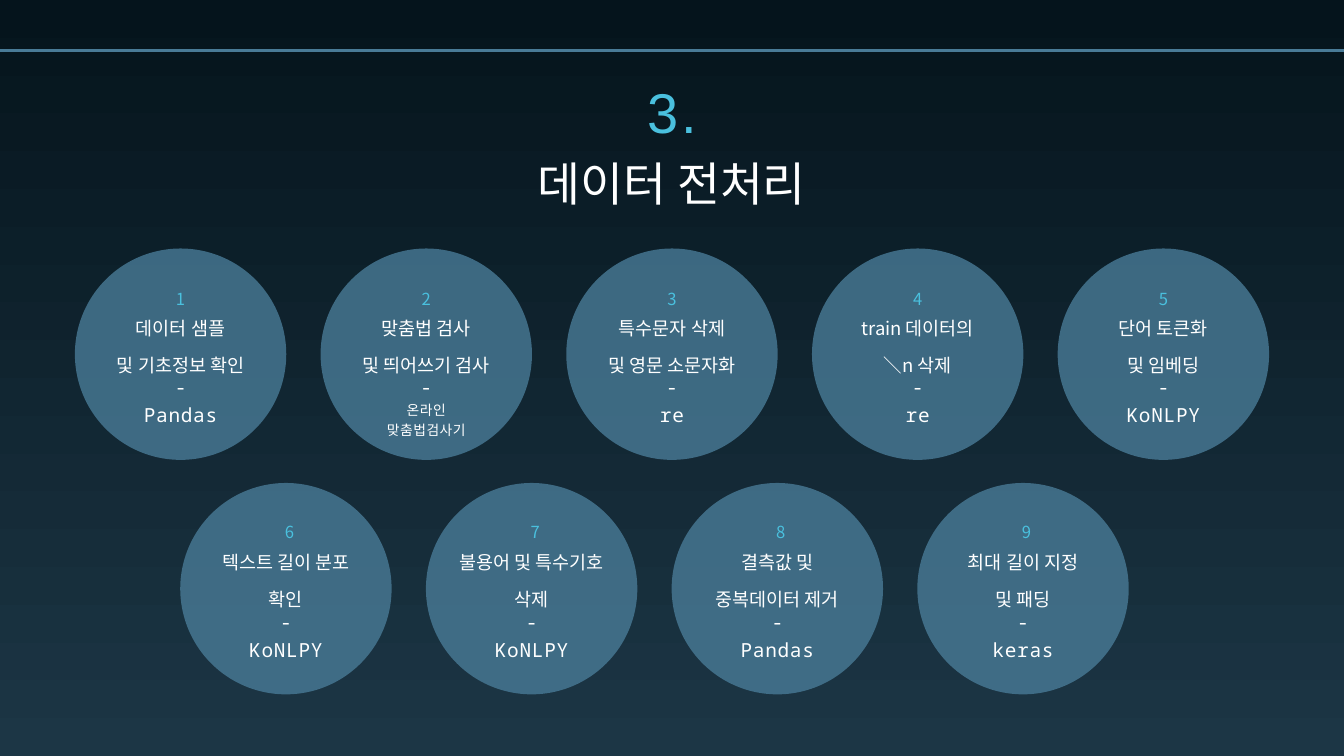
import pptx
import pptx.dml.color
import pptx.enum.shapes
import pptx.enum.text
import pptx.oxml.ns
import pptx.util
from lxml import etree

EMU_PER_PX = 9525
COLORS = {
    "top": "05141C",
    "bottom": "1C3645",
    "steel": "497B97",
    "accent": "4AC0DE",
    "white": "FFFFFF",
}
SANS = "Noto Sans CJK KR"
MONO = "Noto Sans Mono"
DIAMETER = 302
PITCH = 351
STEPS = [
    (["데이터 샘플", "및 기초정보 확인"], ["Pandas"]),
    (["맞춤법 검사", "및 띄어쓰기 검사"], ["온라인", "맞춤법검사기"]),
    (["특수문자 삭제", "및 영문 소문자화"], ["re"]),
    (["train 데이터의", "＼n 삭제"], ["re"]),
    (["단어 토큰화", "및 임베딩"], ["KoNLPY"]),
    (["텍스트 길이 분포", "확인"], ["KoNLPY"]),
    (["불용어 및 특수기호 삭제"], ["KoNLPY"]),
    (["결측값 및", "중복데이터 제거"], ["Pandas"]),
    (["최대 길이 지정", "및 패딩"], ["keras"]),
]
ROWS = [
    {"steps": STEPS[:5], "center": 960, "top": 355, "number_shift": 0, "number_top": 38, "task_height": 101},
    {"steps": STEPS[5:], "center": 935, "top": 690, "number_shift": 5, "number_top": 36, "task_height": 153},
]


def px(value):
    return pptx.util.Emu(round(value * EMU_PER_PX))


def rgb(name):
    return pptx.dml.color.RGBColor.from_string(COLORS[name])


def add_element(parent, tag, **attributes):
    return etree.SubElement(parent, pptx.oxml.ns.qn(tag), **attributes)


def set_background(slide):
    fill = slide.background.fill
    fill.gradient()
    fill.gradient_angle = 270
    for stop, name in zip(fill.gradient_stops, ("top", "bottom")):
        stop.color.rgb = rgb(name)


def add_rule(slide, y, length):
    connector = slide.shapes.add_connector(
        pptx.enum.shapes.MSO_CONNECTOR.STRAIGHT, 0, px(y), px(length), px(y))
    connector.line.color.rgb = rgb("steel")
    connector.line.width = pptx.util.Pt(3)
    add_element(connector._element.spPr, "a:effectLst")


def add_circle(slide, center, top):
    circle = slide.shapes.add_shape(
        pptx.enum.shapes.MSO_SHAPE.OVAL,
        px(center - DIAMETER / 2), px(top), px(DIAMETER), px(DIAMETER))
    circle.shadow.inherit = False
    circle.fill.solid()
    circle.fill.fore_color.rgb = rgb("steel")
    circle.line.fill.background()
    color = circle._element.spPr.find(".//" + pptx.oxml.ns.qn("a:srgbClr"))
    add_element(color, "a:alpha", val="80000")


def add_line_of_text(paragraph, text, size, spacing, font, color, tracking=0):
    paragraph.alignment = pptx.enum.text.PP_ALIGN.CENTER
    paragraph.line_spacing = pptx.util.Pt(spacing)
    run = paragraph.add_run()
    run.text = text
    run.font.size = pptx.util.Pt(size)
    run.font.name = font
    run.font.color.rgb = rgb(color)
    properties = run.font._element
    latin = properties.find(pptx.oxml.ns.qn("a:latin"))
    east_asian = add_element(properties, "a:ea", typeface=font)
    latin.addnext(east_asian)
    if tracking:
        properties.set("spc", str(round(tracking * 100)))


def add_text(slide, center, top, width, height, lines):
    box = slide.shapes.add_textbox(px(center - width / 2), px(top), px(width), px(height))
    frame = box.text_frame
    frame.margin_left = frame.margin_right = frame.margin_top = frame.margin_bottom = 0
    frame.word_wrap = True
    frame.auto_size = pptx.enum.text.MSO_AUTO_SIZE.SHAPE_TO_FIT_TEXT
    for index, line in enumerate(lines):
        paragraph = frame.add_paragraph() if index else frame.paragraphs[0]
        add_line_of_text(paragraph, **line)


def styled(texts, **style):
    return [dict(text=text, **style) for text in texts]


def add_step(slide, center, row, task, tool):
    top = row["top"]
    add_circle(slide, center, top)
    add_text(slide, center, top + 76, 257, row["task_height"],
             styled(task, size=19.8, spacing=39.7, font=SANS, color="white"))
    large = dict(size=20.8, spacing=29.8, font=MONO, color="white", tracking=0.8)
    small = dict(large, size=14.8, spacing=21.2, tracking=0.6)
    add_text(slide, center, top + 175, 183, 81,
             styled(["-"], **large) + styled(tool, **(small if len(tool) > 1 else large)))


def add_number(slide, center, row, number):
    add_text(slide, center + row["number_shift"], row["top"] + row["number_top"], 18, 43,
             styled([str(number)], size=17.8, spacing=35.7, font=SANS, color="accent"))


def main():
    presentation = pptx.Presentation()
    presentation.slide_width = px(1920)
    presentation.slide_height = px(1080)
    slide = presentation.slides.add_slide(presentation.slide_layouts[6])
    set_background(slide)
    add_rule(slide, 72, 2046)
    add_text(slide, 960, 221, 806, 82,
             styled(["데이터 전처리"], size=50, spacing=60, font=SANS, color="white"))
    add_text(slide, 960, 102, 152, 102,
             styled(["3."], size=60, spacing=78, font="Arial", color="accent", tracking=3))
    number = 1
    for row in ROWS:
        first_center = row["center"] - PITCH * (len(row["steps"]) - 1) / 2
        for column, (task, tool) in enumerate(row["steps"]):
            center = first_center + PITCH * column
            add_step(slide, center, row, task, tool)
            add_number(slide, center, row, number)
            number += 1
    presentation.save("out.pptx")


if __name__ == "__main__":
    main()
